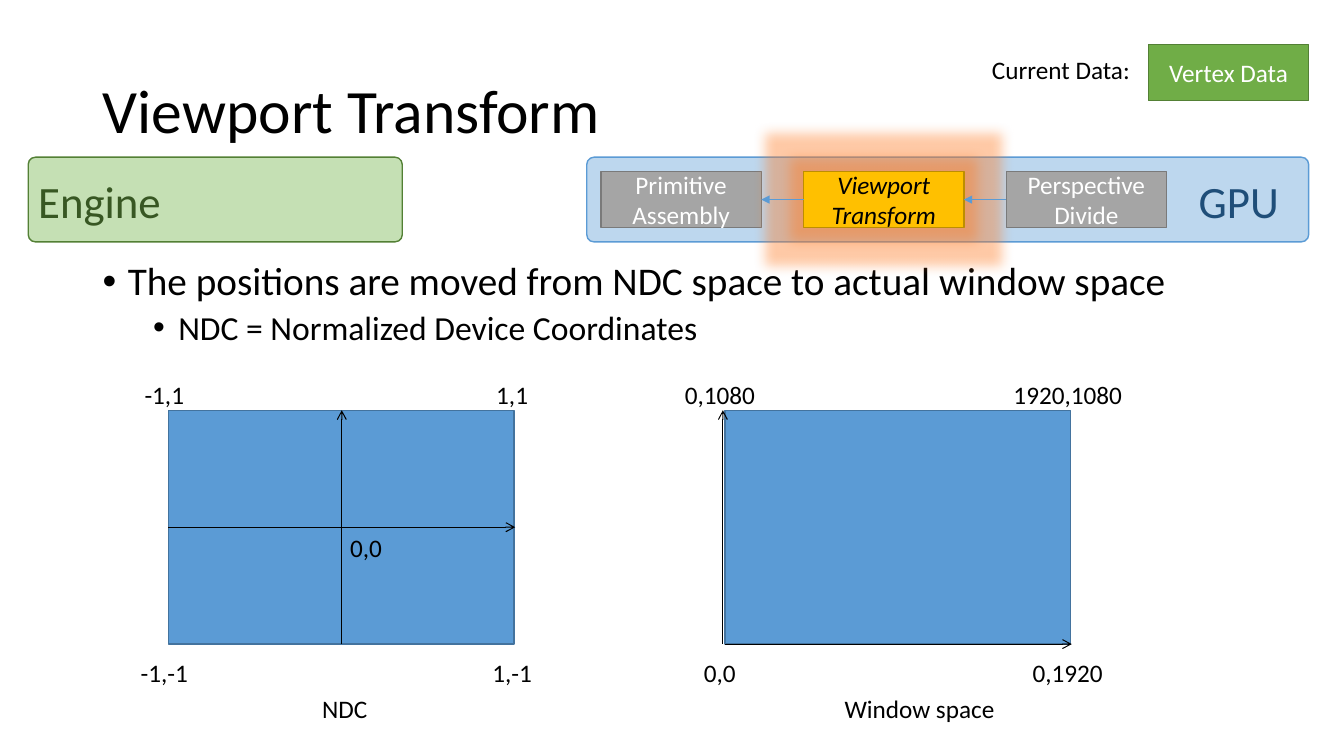
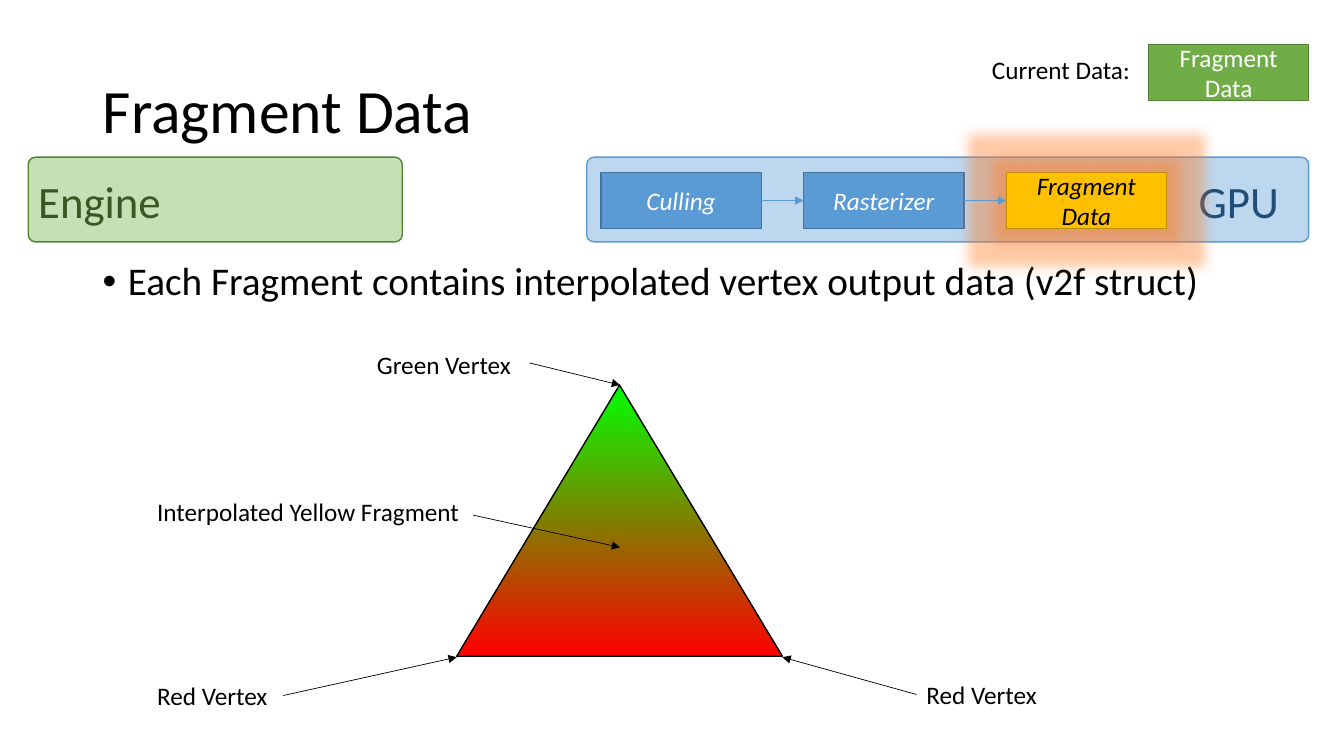
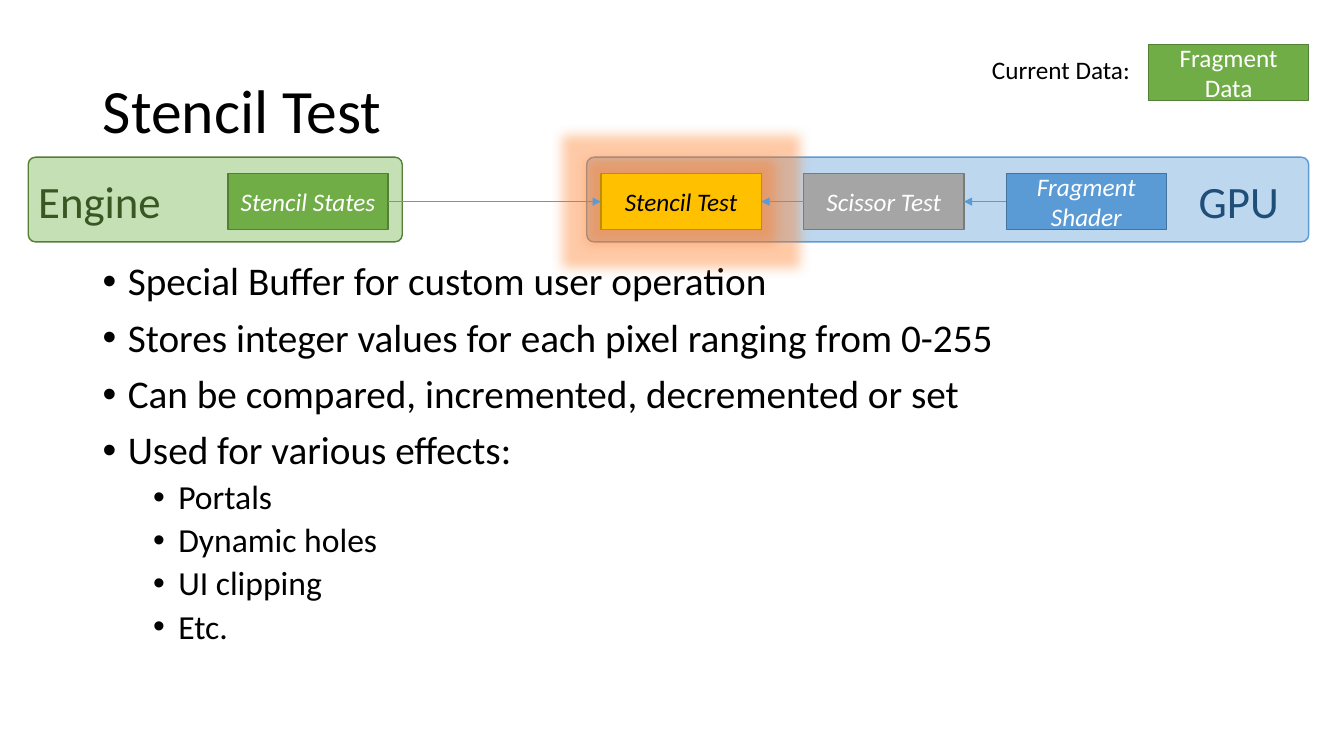
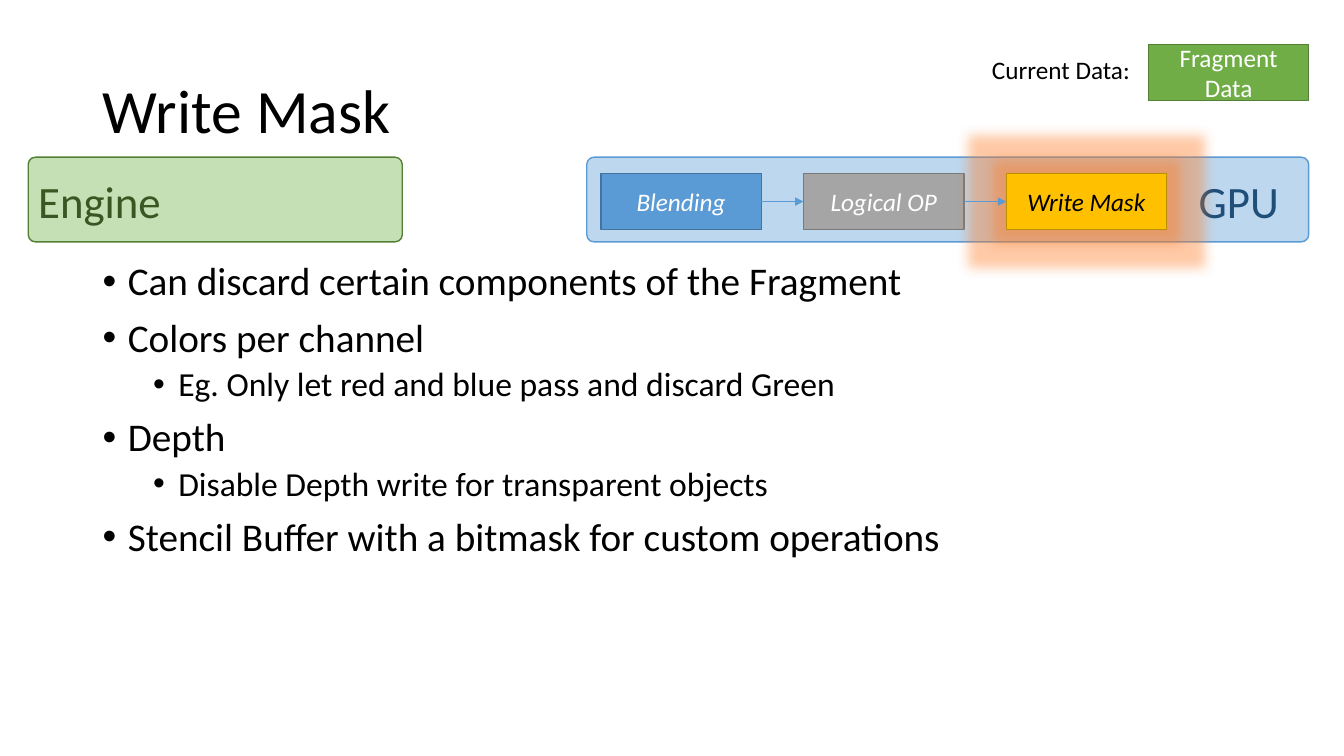
from pptx import Presentation
from pptx.dml.color import RGBColor as Rgb
from pptx.enum.shapes import MSO_CONNECTOR as Link, MSO_SHAPE as Form
from pptx.enum.text import MSO_ANCHOR as Anchor, MSO_AUTO_SIZE as Fit, PP_ALIGN as Align
from pptx.oxml.ns import qn
from pptx.util import Pt
from lxml.etree import SubElement as Sub

PX = 9144  # 100 px to the inch
FONT = "Calibri"
HUES = {
    "black": "000000", "white": "FFFFFF", "blue": "5B9BD5", "navy": "43739E",
    "gray": "A5A5A5", "slate": "7A7A7A", "gold": "FFC000", "ochre": "BD8E00",
    "green": "70AD47", "moss": "538035", "mint": "C5E0B4", "sky": "BDD7EE",
    "pine": "385723", "deep": "1F4E79", "glow": "FF7A21",
    "lime": "00FF00", "red": "FF0000",
}
# Box kinds: fill, outline, text
KINDS = {
    "blue": ("blue", "navy", "white"),
    "gray": ("gray", "slate", "white"),
    "gold": ("gold", "ochre", "black"),
    "green": ("green", "moss", "white"),
    "engine": ("mint", "moss", "pine"),
    "gpu": ("sky", "blue", "deep"),
}
# Bullet levels: text size, space before, left margin in px
LEVELS = [(28, 10, 25), (24, 5, 75)]
STEP_X, STEP_GAP, STEP_W, STEP_H = 596, 201, 159, 56


def hue(name):
    return Rgb.from_string(HUES[name])


def px(*nums):
    return [num * PX for num in nums]


# Text
def write(frame, text, size=18, color="black", italic=False, align=Align.LEFT,
          lead=None, before=None):
    """Add one paragraph to a frame, using the first one while it is empty."""
    para = frame.paragraphs[0]
    if para.runs:
        para = frame.add_paragraph()
    para.alignment = align
    if lead:
        para.line_spacing = lead
    if before is not None:
        para.space_before = Pt(before)
    run = para.add_run()
    run.text = text
    font = run.font
    font.name, font.size, font.italic = FONT, Pt(size), italic
    font.color.rgb = hue(color)
    return para


def area(slide, *at):
    frame = slide.shapes.add_textbox(*px(*at)).text_frame
    frame.word_wrap = True
    return frame


def label(slide, text, *at, **form):
    write(area(slide, *at), text, **form)


def tags(slide, items, **form):
    for text, *at in items:
        label(slide, text, *at, **form)


def bullets(slide, items):
    frame = area(slide, 92, 255, 1150, 420)
    for level, text in items:
        size, before, left = LEVELS[level]
        para = write(frame, text, size=size, lead=0.9, before=before)
        para.level = level
        props = para._p.get_or_add_pPr()
        props.set("marL", str(left * PX))
        props.set("indent", str(-25 * PX))
        Sub(props, qn("a:buFont"), typeface="Arial")
        Sub(props, qn("a:buChar"), char="•")


# Shapes
def shape(slide, form, at, line):
    item = slide.shapes.add_shape(form, *px(*at))
    item.shadow.inherit = False
    item.line.color.rgb = hue(line)
    item.line.width = Pt(1)
    return item


def box(slide, kind, *at, text=None, italic=False, form=Form.RECTANGLE):
    fill, line, ink = KINDS[kind]
    item = shape(slide, form, at, line)
    item.fill.solid()
    item.fill.fore_color.rgb = hue(fill)
    if text:
        frame = item.text_frame
        frame.word_wrap = True
        frame.vertical_anchor = Anchor.MIDDLE
        write(frame, text, color=ink, italic=italic, align=Align.CENTER)
    return item


def glow(item):
    effects = item._element.spPr.find(qn("a:effectLst"))
    halo = Sub(effects, qn("a:glow"), rad=str(25 * PX))
    tone = Sub(halo, qn("a:srgbClr"), val=HUES["glow"])
    Sub(tone, qn("a:alpha"), val="40000")


def arrow(slide, *ends, color="black", width=0.5, head="triangle"):
    item = slide.shapes.add_connector(Link.STRAIGHT, *px(*ends))
    item.line.color.rgb = hue(color)
    item.line.width = Pt(width)
    Sub(item.line._get_or_add_ln(), qn("a:tailEnd"), type=head)
    Sub(item._element.spPr, qn("a:effectLst"))


# Parts that the slides share
def band(slide, kind, text, x, width, text_x, text_w):
    item = box(slide, kind, x, 156, width, 84, form=Form.ROUNDED_RECTANGLE)
    item.adjustments[0] = 0.085
    label(slide, text, text_x, 167, text_w, 64, size=32, color=KINDS[kind][2])


def start(deck, title, data, points):
    slide = deck.slides.add_slide(deck.slide_layouts[5])
    head = slide.shapes.title
    head.left, head.top, head.width, head.height = px(92, 40, 1150, 145)
    frame = head.text_frame
    frame.auto_size = Fit.NONE
    frame.word_wrap = True
    frame.vertical_anchor = Anchor.MIDDLE
    write(frame, title, size=44, lead=0.9)
    band(slide, "engine", "Engine", 28, 371, 28, 182)
    band(slide, "gpu", "GPU", 582, 716, 1179, 150)
    label(slide, "Current Data:", 974, 49, 165, 40)
    box(slide, "green", 1139, 44, STEP_W, STEP_H, text=data)
    bullets(slide, points)
    return slide


def steps(slide, y, items, back=False):
    """Draw the GPU steps and the arrows between them."""
    mid = y + STEP_H // 2
    for i, (kind, text, italic) in enumerate(items):
        x = STEP_X + i * STEP_GAP
        item = box(slide, kind, x, y, STEP_W, STEP_H, text=text, italic=italic)
        if kind == "gold":
            glow(item)
        if i:
            ends = [x - STEP_GAP + STEP_W, x]
            if back:
                ends.reverse()
            arrow(slide, ends[0], mid, ends[1], mid, color="blue")


# Slides
def viewport(deck):
    slide = start(deck, "Viewport Transform", "Vertex Data", [
        (0, "The positions are moved from NDC space to actual window space"),
        (1, "NDC = Normalized Device Coordinates"),
    ])
    steps(slide, 170, [("gray", "Primitive Assembly", False),
                       ("gold", "Viewport Transform", True),
                       ("gray", "Perspective Divide", False)], back=True)
    for x in (167, 719):
        box(slide, "blue", x, 407, 343, 232)
    for ends in ((167, 523, 511, 523), (339, 639, 339, 407),
                 (719, 639, 1063, 639), (717, 639, 717, 407)):
        arrow(slide, *ends, width=0.75, head="arrow")
    tags(slide, [
        ("-1,1", 125, 371, 76, 36), ("1,1", 470, 371, 76, 36),
        ("-1,-1", 125, 647, 76, 36), ("1,-1", 470, 647, 76, 36),
        ("0,0", 325, 523, 76, 40), ("NDC", 244, 683, 196, 40),
        ("0,1080", 649, 371, 130, 40), ("1920,1080", 987, 371, 144, 40),
        ("0,0", 676, 647, 76, 40), ("0,1920", 987, 647, 144, 40),
        ("Window space", 814, 683, 196, 40),
    ], align=Align.CENTER)


def fragment(deck):
    slide = start(deck, "Fragment Data", "Fragment Data", [
        (0, "Each Fragment contains interpolated vertex output data (v2f struct)"),
    ])
    steps(slide, 171, [("blue", "Culling", True), ("blue", "Rasterizer", True),
                       ("gold", "Fragment Data", True)])
    fill = shape(slide, Form.ISOSCELES_TRIANGLE, (453, 382, 323, 269), "black").fill
    fill.gradient()
    fill.gradient_angle = 270
    for stop, color, place in zip(fill.gradient_stops, ("lime", "red"), (0, 1)):
        stop.color.rgb = hue(color)
        stop.position = place
    tags(slide, [
        ("Green Vertex", 364, 342, 183, 40),
        ("Interpolated Yellow Fragment", 146, 487, 324, 40),
        ("Red Vertex", 146, 670, 135, 40),
        ("Red Vertex", 909, 669, 178, 40),
    ])
    for ends in ((525, 360, 615, 382), (469, 511, 615, 543),
                 (281, 690, 453, 652), (909, 689, 776, 652)):
        arrow(slide, *ends)


def stencil(deck):
    slide = start(deck, "Stencil Test", "Fragment Data", [
        (0, "Special Buffer for custom user operation"),
        (0, "Stores integer values for each pixel ranging from 0-255"),
        (0, "Can be compared, incremented, decremented or set"),
        (0, "Used for various effects:"),
        (1, "Portals"),
        (1, "Dynamic holes"),
        (1, "UI clipping"),
        (1, "Etc."),
    ])
    steps(slide, 172, [("gold", "Stencil Test", True), ("gray", "Scissor Test", True),
                       ("blue", "Fragment Shader", True)], back=True)
    box(slide, "green", 226, 172, STEP_W, STEP_H, text="Stencil States", italic=True)
    arrow(slide, 226 + STEP_W, 200, STEP_X, 200, color="blue")


def mask(deck):
    slide = start(deck, "Write Mask", "Fragment Data", [
        (0, "Can discard certain components of the Fragment"),
        (0, "Colors per channel"),
        (1, "Eg. Only let red and blue pass and discard Green"),
        (0, "Depth"),
        (1, "Disable Depth write for transparent objects"),
        (0, "Stencil Buffer with a bitmask for custom operations"),
    ])
    steps(slide, 172, [("blue", "Blending", True), ("gray", "Logical OP", True),
                       ("gold", "Write Mask", True)])


def main():
    deck = Presentation()
    deck.slide_width, deck.slide_height = px(1333, 750)
    for build in (viewport, fragment, stencil, mask):
        build(deck)
    deck.save("out.pptx")


if __name__ == "__main__":
    main()
